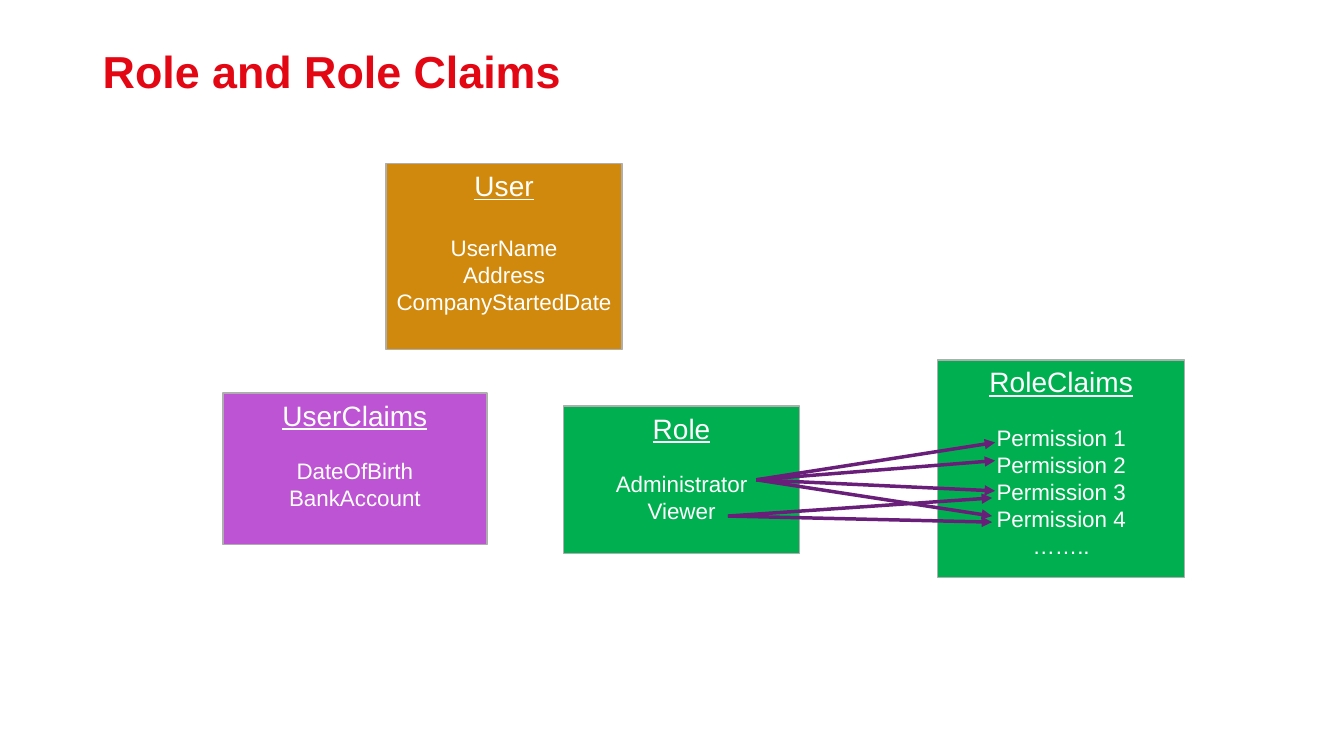
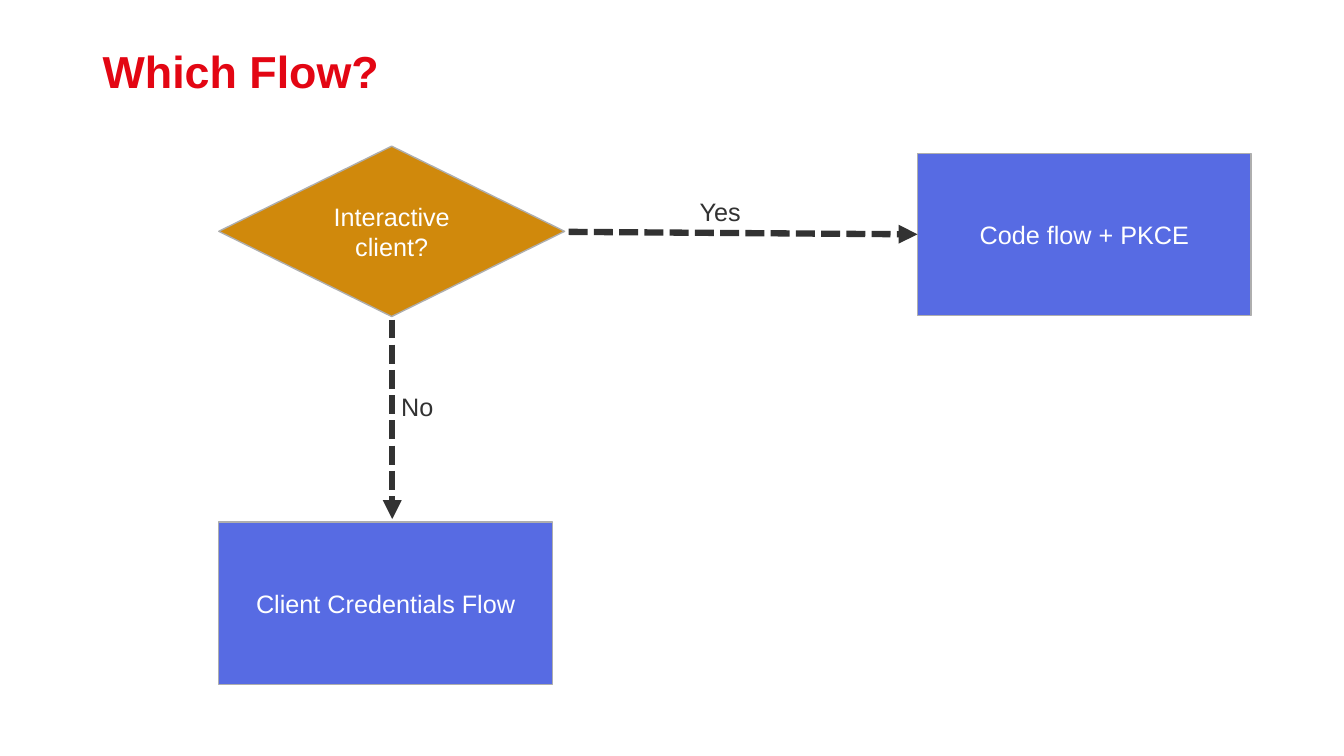
from lxml import etree
from pptx import Presentation
from pptx.dml.color import RGBColor
from pptx.enum import dml, shapes, text
from pptx.oxml.ns import qn
from pptx import util as u

EMU_PER_PX = 9144  # 100 px to the inch
COLORS = {
    "background": "FFFFFF", "title": "E30613", "light": "FFFFFF",
    "dark": "323232", "outline": "AEAEAE", "orange": "D0890C",
    "violet": "BD54D3", "green": "00B050", "blue": "576BE3",
    "purple": "691F79",
}


def px(length):
    return length * EMU_PER_PX


def rgb(name):
    return RGBColor.from_string(COLORS[name])


class Deck:
    """Shared style and the slide being filled."""

    FONT = "Arial"

    def __init__(self):
        self.prs = Presentation()
        self.prs.slide_width, self.prs.slide_height = px(1333), px(750)
        self.slide = None

    def new_slide(self, title):
        self.slide = self.prs.slides.add_slide(self.prs.slide_layouts[6])
        fill = self.slide.background.fill
        fill.solid()
        fill.fore_color.rgb = rgb("background")
        heading = self.textbox((92, 44, 1150, 59), title, "title", size=32, bold=True)
        heading.word_wrap = True
        heading.paragraphs[0].line_spacing = 0.9

    def add_words(self, paragraph, words, color, align=text.PP_ALIGN.LEFT, **font):
        paragraph.alignment = align
        run = paragraph.add_run()
        run.text = words
        style = {"name": self.FONT, **font, "size": u.Pt(font["size"])}
        for key, value in style.items():
            setattr(run.font, key, value)
        run.font.color.rgb = rgb(color)

    def textbox(self, area, words, color, **font):
        frame = self.slide.shapes.add_textbox(*map(px, area)).text_frame
        self.add_words(frame.paragraphs[0], words, color, **font)
        return frame

    def label(self, area, words):
        frame = self.textbox(area, words, "dark", size=18)
        frame.word_wrap = False
        frame.auto_size = text.MSO_AUTO_SIZE.SHAPE_TO_FIT_TEXT

    def shape(self, kind, area, color, anchor):
        shape = self.slide.shapes.add_shape(kind, *map(px, area))
        shape.shadow.inherit = False
        shape.fill.solid()
        shape.fill.fore_color.rgb = rgb(color)
        shape.line.color.rgb = rgb("outline")
        shape.line.width = u.Pt(1)
        shape.text_frame.word_wrap = True
        shape.text_frame.vertical_anchor = anchor
        return shape

    def entity(self, area, color, name, fields, gap=18.4):
        """Box with an underlined name above its fields."""
        box = self.shape(shapes.MSO_SHAPE.RECTANGLE, area, color, text.MSO_ANCHOR.TOP)
        frame = box.text_frame
        head = frame.paragraphs[0]
        self.add_words(head, name, "light", text.PP_ALIGN.CENTER, size=20, underline=True)
        head.space_after = u.Pt(gap)
        for field in fields:
            self.add_words(frame.add_paragraph(), field, "light",
                           text.PP_ALIGN.CENTER, size=16)

    def step(self, area, color, words, kind=shapes.MSO_SHAPE.RECTANGLE):
        """Flow chart step with one centred text."""
        step = self.shape(kind, area, color, text.MSO_ANCHOR.MIDDLE)
        self.add_words(step.text_frame.paragraphs[0], words, "light",
                       text.PP_ALIGN.CENTER, size=18)
        return step

    def arrow(self, start, end, color, width, dash=None):
        arrow = self.slide.shapes.add_connector(
            shapes.MSO_CONNECTOR.STRAIGHT, *map(px, start + end))
        arrow.line.color.rgb = rgb(color)
        arrow.line.width = u.Pt(width)
        if dash:
            arrow.line.dash_style = dash
        properties = arrow._element.spPr
        etree.SubElement(properties.find(qn("a:ln")), qn("a:tailEnd"), type="triangle")
        etree.SubElement(properties, qn("a:effectLst"))
        return arrow


def role_claims(deck):
    deck.new_slide("Role and Role Claims")

    # Entities
    deck.entity((383, 162, 234, 185), "orange", "User",
                ["UserName", "Address", "CompanyStartedDate"], gap=23)
    deck.entity((221, 390, 262, 150), "violet", "UserClaims",
                ["DateOfBirth", "BankAccount"])
    deck.entity((559, 403, 234, 146), "green", "Role", ["Administrator", "Viewer"])
    permissions = [f"Permission {number}" for number in range(1, 5)]
    deck.entity((930, 357, 245, 216), "green", "RoleClaims", permissions + ["…….."])

    # Permissions granted to each role
    administrator, viewer = (750, 476), (722, 512)
    grants = {
        administrator: [(987, 439), (987, 457), (987, 487), (984, 512)],
        viewer: [(984, 494), (984, 518)],
    }
    for role, targets in grants.items():
        for permission in targets:
            deck.arrow(role, permission, "purple", 2.5)


def which_flow(deck):
    deck.new_slide("Which Flow?")
    dash = dml.MSO_LINE.SQUARE_DOT

    # Question and outcomes
    deck.step((217, 145, 343, 169), "orange", "Interactive client?",
              shapes.MSO_SHAPE.DIAMOND)
    code_flow = deck.step((910, 152, 331, 161), "blue", "Code flow + PKCE")
    deck.step((217, 518, 331, 161), "blue", "Client Credentials Flow")

    # Answers
    yes = deck.arrow((564, 230), (910, 233), "dark", 4.5, dash)
    yes.end_connect(code_flow, 1)
    deck.label((684, 190, 61, 40), "Yes")
    deck.arrow((389, 317), (389, 515), "dark", 4.5, dash)
    deck.label((388, 383, 52, 40), "No")


def main():
    deck = Deck()
    role_claims(deck)
    which_flow(deck)
    deck.prs.save("out.pptx")


if __name__ == "__main__":
    main()
